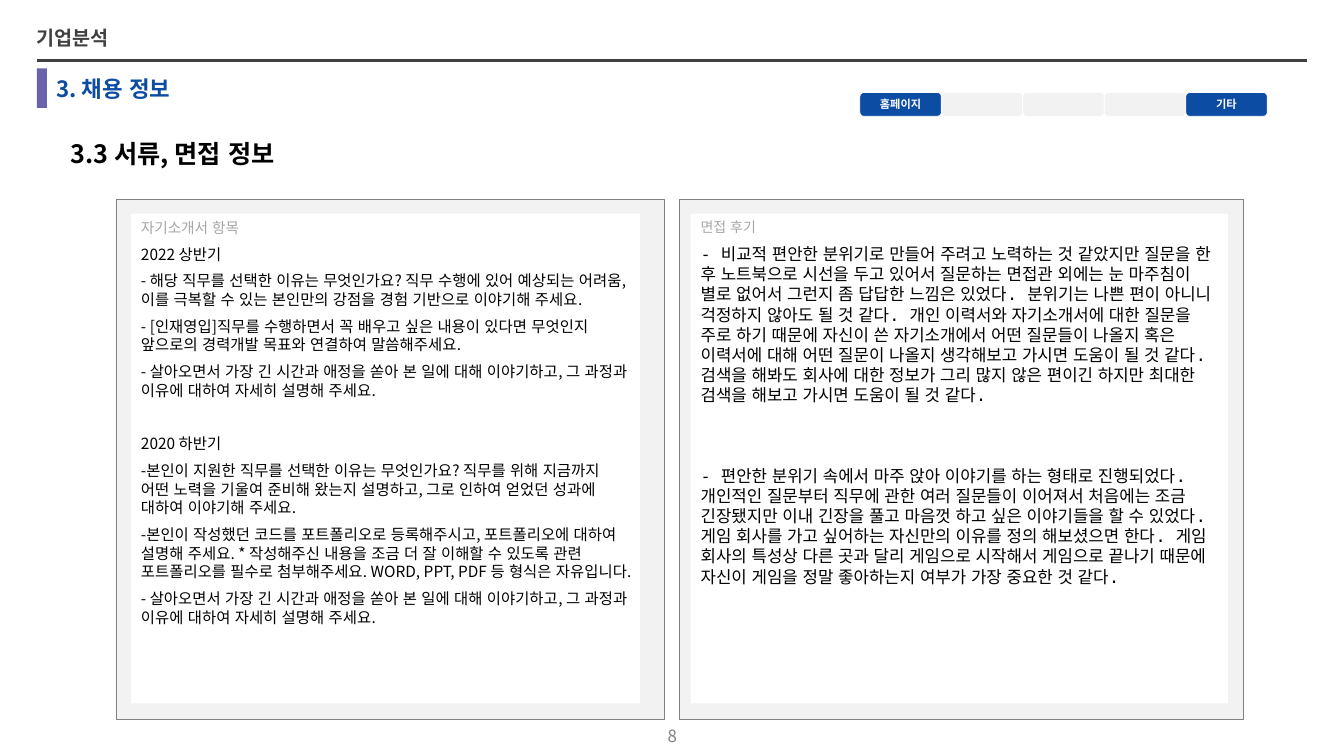
import pptx
import pptx.util
import pptx.dml.color
import pptx.enum.lang
import pptx.enum.shapes
import pptx.enum.text
from lxml import etree

Pt = pptx.util.Pt
RGBColor = pptx.dml.color.RGBColor
SHAPE = pptx.enum.shapes.MSO_SHAPE
ANCHOR = pptx.enum.text.MSO_ANCHOR
ALIGN = pptx.enum.text.PP_ALIGN

BLUE = RGBColor(0x0C, 0x4C, 0xA2)
PURPLE = RGBColor(0x6A, 0x63, 0xAC)
DARK = RGBColor(0x40, 0x40, 0x40)
GRAY = RGBColor(0x80, 0x80, 0x80)
MUTED = RGBColor(0xA6, 0xA6, 0xA6)
PALE = RGBColor(0xF2, 0xF2, 0xF2)
WHITE = RGBColor(0xFF, 0xFF, 0xFF)
BLACK = RGBColor(0, 0, 0)

SANS = "Noto Sans CJK KR"
MONO = "DejaVu Sans Mono"
A = "http://schemas.openxmlformats.org/drawingml/2006/main"

# Inactive tabs are blank
TABS = ["홈페이지", None, None, None, "기타"]

# Text, space before
ESSAY = [
    ("2022 상반기", 6),
    ("- 해당 직무를 선택한 이유는 무엇인가요? 직무 수행에 있어 예상되는 어려움, 이를 극복할 수 있는 "
     "본인만의 강점을 경험 기반으로 이야기해 주세요.", 6),
    ("- [인재영입]직무를 수행하면서 꼭 배우고 싶은 내용이 있다면 무엇인지 앞으로의 경력개발 목표와 "
     "연결하여 말씀해주세요.", 6),
    ("- 살아오면서 가장 긴 시간과 애정을 쏟아 본 일에 대해 이야기하고, 그 과정과 이유에 대하여 자세히 "
     "설명해 주세요.", 6),
    ("2020 하반기", 25.2),
    ("-본인이 지원한 직무를 선택한 이유는 무엇인가요? 직무를 위해 지금까지 어떤 노력을 기울여 준비해 "
     "왔는지 설명하고, 그로 인하여 얻었던 성과에 대하여 이야기해 주세요.", 6),
    ("-본인이 작성했던 코드를 포트폴리오로 등록해주시고, 포트폴리오에 대하여 설명해 주세요. * 작성해주신 "
     "내용을 조금 더 잘 이해할 수 있도록 관련 포트폴리오를 필수로 첨부해주세요. WORD, PPT, PDF 등 형식은 "
     "자유입니다.", 6),
    ("- 살아오면서 가장 긴 시간과 애정을 쏟아 본 일에 대해 이야기하고, 그 과정과 이유에 대하여 자세히 "
     "설명해 주세요.", 6),
]
INTERVIEW = [
    ("- 비교적 편안한 분위기로 만들어 주려고 노력하는 것 같았지만 질문을 한 후 노트북으로 시선을 두고 "
     "있어서 질문하는 면접관 외에는 눈 마주침이 별로 없어서 그런지 좀 답답한 느낌은 있었다. 분위기는 나쁜 "
     "편이 아니니 걱정하지 않아도 될 것 같다. 개인 이력서와 자기소개서에 대한 질문을 주로 하기 때문에 "
     "자신이 쓴 자기소개에서 어떤 질문들이 나올지 혹은 이력서에 대해 어떤 질문이 나올지 생각해보고 가시면 "
     "도움이 될 것 같다. 검색을 해봐도 회사에 대한 정보가 그리 많지 않은 편이긴 하지만 최대한 검색을 "
     "해보고 가시면 도움이 될 것 같다.", 6),
    ("- 편안한 분위기 속에서 마주 앉아 이야기를 하는 형태로 진행되었다. 개인적인 질문부터 직무에 관한 여러 "
     "질문들이 이어져서 처음에는 조금 긴장됐지만 이내 긴장을 풀고 마음껏 하고 싶은 이야기들을 할 수 "
     "있었다. 게임 회사를 가고 싶어하는 자신만의 이유를 정의 해보셨으면 한다. 게임 회사의 특성상 다른 "
     "곳과 달리 게임으로 시작해서 게임으로 끝나기 때문에 자신이 게임을 정말 좋아하는지 여부가 가장 중요한 "
     "것 같다.", 43.2),
]


def add_run(p, text, size, color, bold=False, font=SANS):
    r = p.add_run()
    r.text = text
    r.font.size = Pt(size)
    r.font.bold = bold
    r.font.color.rgb = color
    r.font.name = font
    r.font.language_id = pptx.enum.lang.MSO_LANGUAGE_ID.KOREAN
    ea = etree.SubElement(r.font._element, "{%s}ea" % A)
    ea.set("typeface", SANS)


def set_frame(tf, anchor=ANCHOR.MIDDLE, left=7.2, right=7.2):
    tf.word_wrap = True
    tf.auto_size = pptx.enum.text.MSO_AUTO_SIZE.NONE
    tf.vertical_anchor = anchor
    tf.margin_left, tf.margin_right = Pt(left), Pt(right)
    tf.margin_top = tf.margin_bottom = Pt(3.6)


def add_box(s, kind, x, y, w, h, fill, line=None):
    sp = s.shapes.add_shape(kind, Pt(x), Pt(y), Pt(w), Pt(h))
    sp.shadow.inherit = False
    sp.fill.solid()
    sp.fill.fore_color.rgb = fill
    if line is None:
        sp.line.fill.background()
    else:
        sp.line.color.rgb = line
        sp.line.width = Pt(0.5)
    return sp


def add_label(s, x, y, w, h, text, size, color, bold=True, align=ALIGN.LEFT, left=7.2):
    sp = s.shapes.add_textbox(Pt(x), Pt(y), Pt(w), Pt(h))
    set_frame(sp.text_frame, left=left)
    p = sp.text_frame.paragraphs[0]
    p.alignment = align
    add_run(p, text, size, color, bold)


def add_rule(s, x1, x2, y):
    c = s.shapes.add_connector(pptx.enum.shapes.MSO_CONNECTOR.STRAIGHT,
                               Pt(x1), Pt(y), Pt(x2), Pt(y))
    c.line.color.rgb = DARK
    c.line.width = Pt(1.5)
    etree.SubElement(c._element.spPr, "{%s}effectLst" % A)


def set_title(s, text):
    sp = s.shapes.title
    sp.left, sp.top, sp.width, sp.height = Pt(33.1), Pt(49), Pt(900), Pt(28)
    set_frame(sp.text_frame)
    p = sp.text_frame.paragraphs[0]
    p.alignment = ALIGN.LEFT
    add_run(p, text, 16, BLUE, True)


def add_tab(s, x, label):
    sp = add_box(s, SHAPE.ROUNDED_RECTANGLE, x, 66.1, 58.2, 17,
                 BLUE if label else PALE, WHITE)
    if label:
        set_frame(sp.text_frame, left=2.9, right=2.9)
        p = sp.text_frame.paragraphs[0]
        p.alignment = ALIGN.CENTER
        add_run(p, label, 8, WHITE, True)


def add_panel(s, frame_x, frame_w, x, w, heading, heading_size, body, size, font):
    add_box(s, SHAPE.RECTANGLE, frame_x, 142.6, frame_w, 371.5, PALE, GRAY)
    sp = add_box(s, SHAPE.RECTANGLE, x, 152.6, w, 349.8, WHITE)
    tf = sp.text_frame
    set_frame(tf, ANCHOR.TOP)
    p = tf.paragraphs[0]
    p.alignment = ALIGN.LEFT
    p.line_spacing = Pt(round(heading_size * 1.2, 1))
    add_run(p, heading, heading_size, MUTED)
    for text, before in body:
        p = tf.add_paragraph()
        p.alignment = ALIGN.LEFT
        p.space_before = Pt(before)
        p.line_spacing = Pt(round(size * 1.2, 1))
        add_run(p, text, size, BLACK, font=font)


def main():
    prs = pptx.Presentation()
    prs.slide_width, prs.slide_height = Pt(960), Pt(540)
    s = prs.slides.add_slide(prs.slide_layouts[5])

    # Header and page number
    add_rule(s, 26.6, 933.8, 43.2)
    add_box(s, SHAPE.RECTANGLE, 26.4, 48.9, 7.2, 28.3, PURPLE)
    add_label(s, 26.3, 15.8, 753.8, 22.3, "기업분석", 14, DARK, left=0)
    set_title(s, "3. 채용 정보")
    add_label(s, 365, 514.8, 230.4, 21.6, "8", 12, GRAY, False, ALIGN.CENTER)

    # Source tabs
    for i, label in enumerate(TABS):
        add_tab(s, 614.2 + 58.2 * i, label)

    # Section heading and panels
    add_label(s, 43.5, 90, 450, 39.6, "3.3 서류, 면접 정보", 18, BLACK)
    add_panel(s, 82.8, 391.5, 93.6, 363.6, "자기소개서 항목", 10.5, ESSAY, 11, SANS)
    add_panel(s, 485.3, 402.9, 493.4, 383.8, "면접 후기", 10, INTERVIEW, 12, MONO)

    prs.save("out.pptx")


if __name__ == "__main__":
    main()
